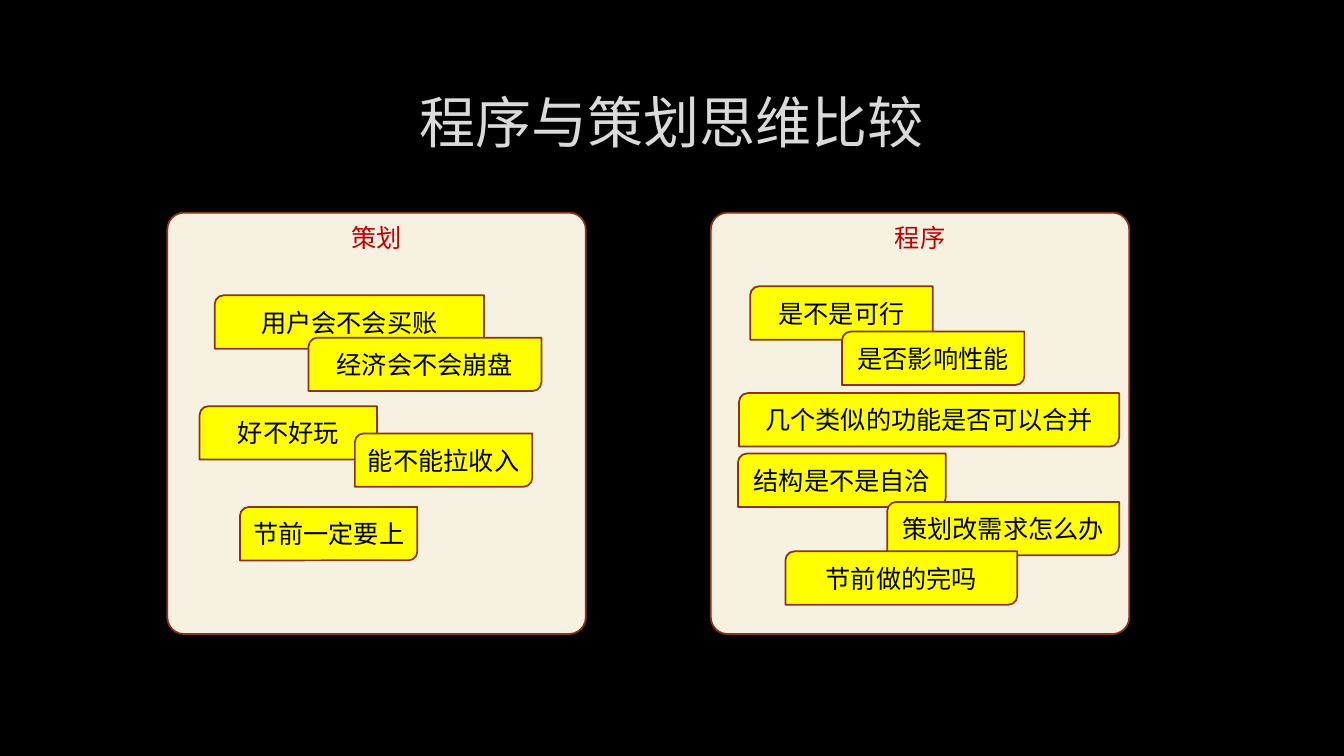
from pptx import Presentation
from pptx.dml.color import RGBColor
from pptx.enum.shapes import MSO_SHAPE
from pptx.enum.text import MSO_ANCHOR, PP_ALIGN
from pptx.util import Inches, Pt

ROUNDED = MSO_SHAPE.ROUNDED_RECTANGLE
DIAGONAL = MSO_SHAPE.ROUND_2_DIAG_RECTANGLE
TOP, MIDDLE = MSO_ANCHOR.TOP, MSO_ANCHOR.MIDDLE
CENTER = PP_ALIGN.CENTER

WIDTH, HEIGHT = Inches(13.33), Inches(7.5)
COLUMNS, ROWS = 1333, 750
PANEL_TOP, PANEL_WIDTH, PANEL_HEIGHT = 211, 415, 418
CARD_HEIGHT = 53

PANELS = [
    ("策划", 166, [
        ("用户会不会买账", 213, 293, 267),
        ("经济会不会崩盘", 306, 335, 231),
        ("节前一定要上", 238, 503, 176),
        ("好不好玩", 198, 403, 176),
        ("能不能拉收入", 352, 430, 176),
    ]),
    ("程序", 705, [
        ("是不是可行", 744, 284, 181),
        ("是否影响性能", 835, 329, 181),
        ("几个类似的功能是否可以合并", 733, 390, 377),
        ("结构是不是自洽", 732, 450, 206),
        ("策划改需求怎么办", 880, 498, 230),
        ("节前做的完吗", 779, 547, 230),
    ]),
]


def color(value):
    return RGBColor.from_string(value)


class Board:
    """Draws styled titles, panels and cards on the slide by grid cells."""

    font = "Lato"
    border = "8B3314"

    def __init__(self, slide):
        self.slide = slide
        slide.background.fill.solid()
        slide.background.fill.fore_color.rgb = color("000000")

    def box(self, left, top, width, height):
        cell_width, cell_height = WIDTH / COLUMNS, HEIGHT / ROWS
        return (round(left * cell_width), round(top * cell_height),
                round(width * cell_width), round(height * cell_height))

    def add_text(self, shape, text, size, ink, anchor):
        frame = shape.text_frame
        frame.word_wrap = True
        frame.vertical_anchor = anchor
        paragraph = frame.paragraphs[0]
        paragraph.alignment = CENTER
        run = paragraph.add_run()
        run.text = text
        run.font.name = self.font
        run.font.size = Pt(size)
        run.font.color.rgb = color(ink)

    def title(self, text, *cells):
        shape = self.slide.shapes.add_textbox(*self.box(*cells))
        self.add_text(shape, text, 40, "DADADA", MIDDLE)

    def outlined(self, kind, fill, *cells):
        shape = self.slide.shapes.add_shape(kind, *self.box(*cells))
        shape.shadow.inherit = False
        shape.fill.solid()
        shape.fill.fore_color.rgb = color(fill)
        shape.line.color.rgb = color(self.border)
        shape.line.width = Pt(1.25)
        return shape

    def panel(self, text, left):
        shape = self.outlined(ROUNDED, "F6F1E1", left, PANEL_TOP, PANEL_WIDTH, PANEL_HEIGHT)
        shape.adjustments[0] = 0.04
        self.add_text(shape, text, 18, "C00000", TOP)

    def card(self, text, left, top, width):
        shape = self.outlined(DIAGONAL, "FFFF00", left, top, width, CARD_HEIGHT)
        self.add_text(shape, text, 18, "000000", MIDDLE)


def main():
    presentation = Presentation()
    presentation.slide_width, presentation.slide_height = WIDTH, HEIGHT
    board = Board(presentation.slides.add_slide(presentation.slide_layouts[6]))
    board.title("程序与策划思维比较", 100, 67, 1132, 106)
    for heading, left, cards in PANELS:
        board.panel(heading, left)
        for card in cards:
            board.card(*card)
    presentation.save("out.pptx")


if __name__ == "__main__":
    main()
